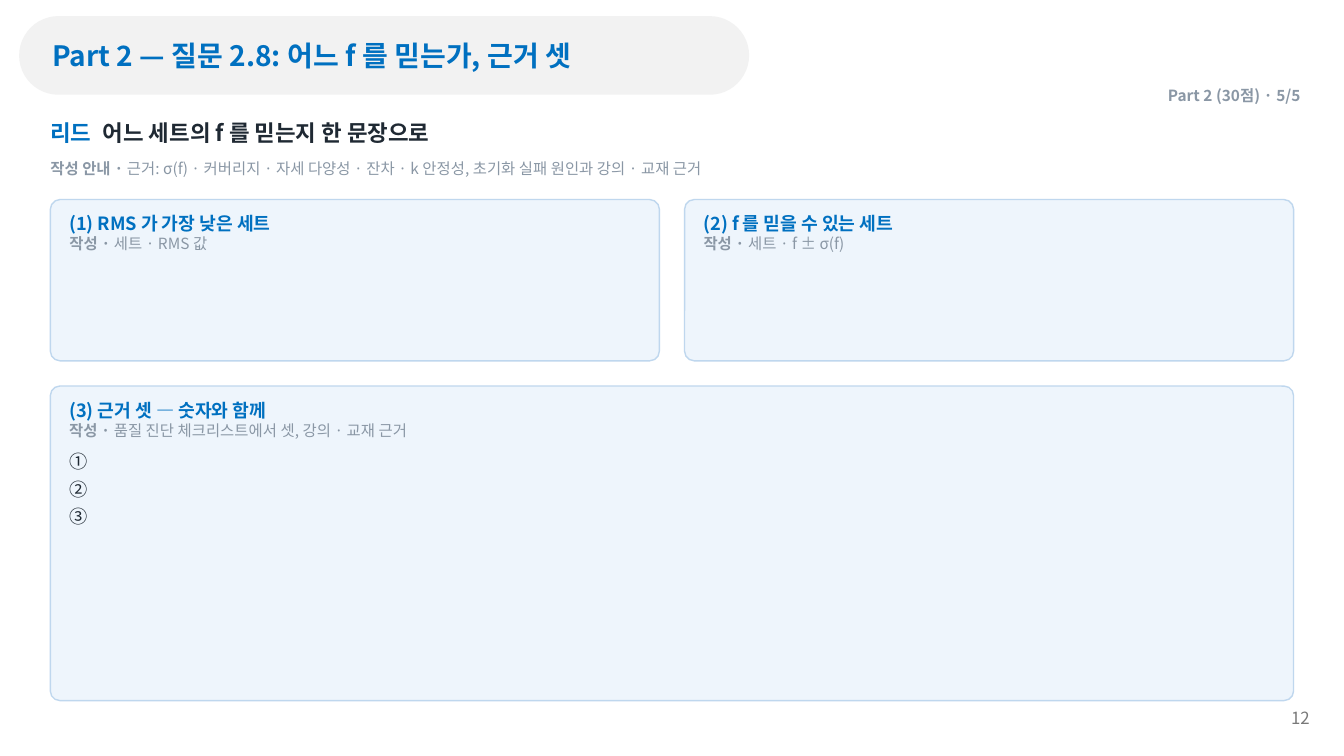
from lxml import etree
from pptx import Presentation
from pptx.dml.color import RGBColor
from pptx.enum import shapes, text
from pptx.oxml import ns
from pptx.util import Inches, Pt

BLUE, INK, GREY = "0070C0", "1F2933", "8A97A5"
PILL, CARD, CARD_EDGE, PAGE = "F2F2F2", "EEF5FC", "BFD7EE", "797979"
LEFT, WIDTH, GAP = 0.5, 12.33, 0.25
HALF = (WIDTH - GAP) / 2


def colour(hex_code):
    return RGBColor.from_string(hex_code)


class SlideBuilder:
    """Holds the typeface and the slide being filled."""

    def __init__(self, slide, typeface):
        self.slide = slide
        self.typeface = typeface

    def add_words(self, paragraph, words, size=11, color=GREY, bold=False):
        run = paragraph.add_run()
        run.text = words
        run.font.size = Pt(size)
        run.font.bold = bold
        run.font.color.rgb = colour(color)
        run.font.name = self.typeface
        east_asian = etree.SubElement(run._r.get_or_add_rPr(), ns.qn("a:ea"))
        east_asian.set("typeface", self.typeface)

    def frame(self, holder, margins, anchor=text.MSO_ANCHOR.MIDDLE):
        """Prepare the text frame; margins run left, top, right, bottom."""
        body = holder.text_frame
        body.word_wrap = True
        body.auto_size = text.MSO_AUTO_SIZE.NONE
        body.vertical_anchor = anchor
        (body.margin_left, body.margin_top,
         body.margin_right, body.margin_bottom) = map(Inches, margins)
        body.paragraphs[0].alignment = text.PP_ALIGN.LEFT
        return body

    def panel(self, box, corner, fill, edge=None):
        panel = self.slide.shapes.add_shape(
            shapes.MSO_SHAPE.ROUNDED_RECTANGLE, *map(Inches, box))
        panel.adjustments[0] = corner
        panel.shadow.inherit = False
        panel.fill.solid()
        panel.fill.fore_color.rgb = colour(fill)
        if edge:
            panel.line.color.rgb = colour(edge)
            panel.line.width = Pt(1)
        else:
            panel.line.fill.background()
        return panel

    def title(self, words, box):
        """Fill the title placeholder and lay a pill behind it."""
        heading = self.slide.shapes.title
        heading.left, heading.top, heading.width, heading.height = map(Inches, box)
        body = self.frame(heading, (0.33, 0.05, 0.1, 0.05))
        self.add_words(body.paragraphs[0], words, size=20, color=BLUE, bold=True)
        pill = self.panel(box, 0.5, PILL)
        heading._element.addprevious(pill._element)

    def label(self, box, align=text.PP_ALIGN.LEFT):
        """Add an empty one-line label and return its paragraph."""
        label = self.slide.shapes.add_textbox(*map(Inches, box))
        line = self.frame(label, (0, 0, 0, 0)).paragraphs[0]
        line.alignment = align
        return line

    def card(self, box, corner, heading, guide, answers=()):
        card = self.panel(box, corner, CARD, CARD_EDGE)
        body = self.frame(card, (0.16, 0.1, 0.16, 0.08), text.MSO_ANCHOR.TOP)
        self.add_words(body.paragraphs[0], heading, size=13, color=BLUE, bold=True)
        hint = body.add_paragraph()
        hint.alignment = text.PP_ALIGN.LEFT
        hint.space_after = Pt(4)
        self.add_words(hint, "작성 · ", bold=True)
        self.add_words(hint, guide)
        for marker in answers:
            answer = body.add_paragraph()
            answer.alignment = text.PP_ALIGN.LEFT
            answer.space_before = Pt(4)
            self.add_words(answer, marker, size=13, color=INK)


def add_tab_stop(paragraph, position):
    stops = etree.SubElement(paragraph._p.get_or_add_pPr(), ns.qn("a:tabLst"))
    etree.SubElement(stops, ns.qn("a:tab"), pos=str(Inches(position)), algn="l")


def main():
    deck = Presentation()
    deck.slide_width, deck.slide_height = Inches(13.33), Inches(7.5)
    page = SlideBuilder(deck.slides.add_slide(deck.slide_layouts[5]),
                        "Noto Sans CJK KR")

    page.title("Part 2 — 질문 2.8: 어느 f 를 믿는가, 근거 셋", (0.19, 0.16, 7.24, 0.78))

    page_number = page.label((12.64, 6.92, 0.35, 0.4), text.PP_ALIGN.RIGHT)
    page.add_words(page_number, "12", size=12, color=PAGE)

    progress = page.label((9.45, 0.8, 3.45, 0.3), text.PP_ALIGN.RIGHT)
    page.add_words(progress, "Part 2 (30점) · 5/5", bold=True)

    lead = page.label((LEFT, 1.1, WIDTH, 0.42))
    add_tab_stop(lead, 0.52)
    page.add_words(lead, "리드\t", size=16, color=BLUE, bold=True)
    page.add_words(lead, "어느 세트의 f 를 믿는지 한 문장으로", size=16, color=INK, bold=True)

    guide = page.label((LEFT, 1.5, WIDTH, 0.34))
    page.add_words(guide, "작성 안내 · ", bold=True)
    page.add_words(guide, "근거: σ(f) · 커버리지 · 자세 다양성 · 잔차 · k 안정성, "
                          "초기화 실패 원인과 강의 · 교재 근거")

    set_questions = [("(1) RMS 가 가장 낮은 세트", "세트 · RMS 값"),
                     ("(2) f 를 믿을 수 있는 세트", "세트 · f ± σ(f)")]
    for column, (heading, hint) in enumerate(set_questions):
        page.card((LEFT + column * (HALF + GAP), 1.98, HALF, 1.6), 0.06, heading, hint)
    page.card((LEFT, 3.83, WIDTH, 3.12), 0.03, "(3) 근거 셋 — 숫자와 함께",
              "품질 진단 체크리스트에서 셋, 강의 · 교재 근거", answers="①②③")

    deck.save("out.pptx")


if __name__ == "__main__":
    main()
